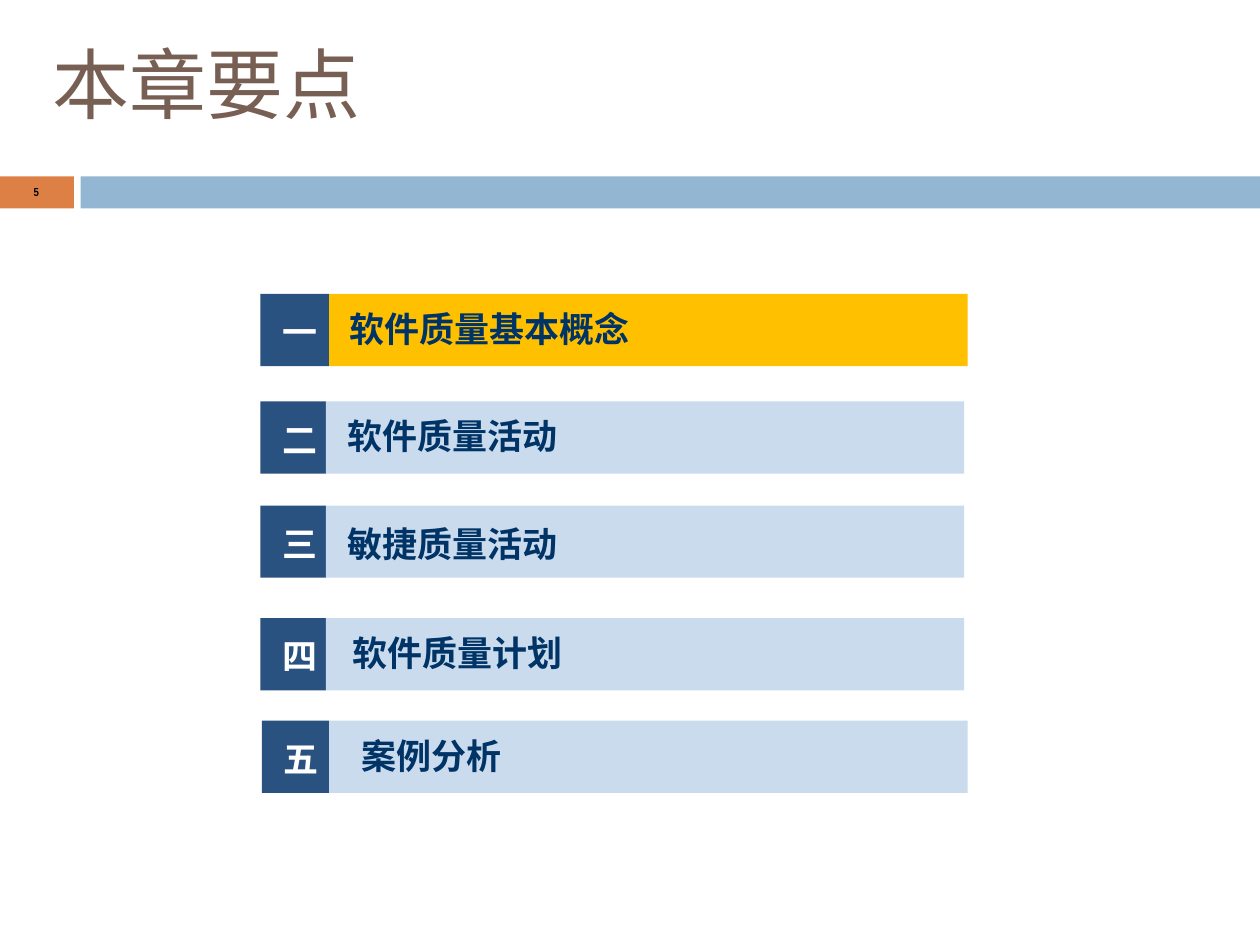
"""Build the chapter outline slide with five numbered topics."""
from pptx import Presentation
from pptx.dml.color import RGBColor
from pptx.enum.shapes import MSO_SHAPE as Shape
from pptx.enum.text import MSO_ANCHOR as Anchor, PP_ALIGN as Align
from pptx.oxml.ns import qn
from pptx.util import Inches, Pt
from lxml.etree import SubElement

CJK = "Noto Sans CJK SC"
NAVY, PALE, GOLD, INK = "2A5280", "C9DBED", "FFC000", "003366"


def write(box, text, size, color, font=CJK, bold=True, left=0, top=0, wrap=False):
    frame = box.text_frame
    layout = dict(margin_left=Inches(left), margin_top=Inches(top), margin_right=0,
                  margin_bottom=0, vertical_anchor=Anchor.TOP, word_wrap=wrap)
    for key, value in layout.items():
        setattr(frame, key, value)
    paragraph = frame.paragraphs[0]
    paragraph.alignment = Align.LEFT
    run = paragraph.add_run()
    run.text = text
    for key, value in dict(size=Pt(size), bold=bold, name=font).items():
        setattr(run.font, key, value)
    run.font.color.rgb = RGBColor.from_string(color)
    SubElement(run.font._element, qn("a:ea")).set("typeface", font)


def add_bar(left, top, width, height, color):
    bar = slide.shapes.add_shape(Shape.RECTANGLE, Inches(left), Inches(top),
                                 Inches(width), Inches(height))
    bar.shadow.inherit = False
    bar.fill.solid()
    bar.fill.fore_color.rgb = RGBColor.from_string(color)
    bar.line.fill.background()
    return bar


deck = Presentation()
deck.slide_width = Inches(7.5)
deck.slide_height = Inches(7.5 * 3 / 4)
slide = deck.slides.add_slide(deck.slide_layouts[5])

add_bar(0, 1.05, 0.44, 0.19, "DD8046")
add_bar(0.48, 1.05, 7.02, 0.19, "93B6D2")

title = slide.shapes.title
place = dict(left=0.3, top=0.21, width=1.86, height=0.58)
for side, length in place.items():
    setattr(title, side, Inches(length))
write(title, "本章要点", 33, "775F54", bold=False, left=0.01, top=0.01)

page_number = slide.shapes.add_textbox(Inches(0.19), Inches(1.08), Inches(0.06), Inches(0.12))
write(page_number, "5", 5, "000000", font="Arial Narrow", left=0.01, top=0.02)

topics = [
    ("一", "软件质量基本概念", 1.55, 1.96, 1.75, 0.12, 0.08, GOLD),
    ("二", "软件质量活动", 1.55, 1.94, 2.39, 0.13, 0.08, PALE),
    ("三", "敏捷质量活动", 1.55, 1.94, 3.01, 0.13, 0.1, PALE),
    ("四", "软件质量计划", 1.55, 1.94, 3.68, 0.16, 0.08, PALE),
    ("五", "案例分析", 1.56, 1.96, 4.29, 0.19, 0.08, PALE),
]
for numeral, topic, start, split, top, indent, inset, color in topics:
    numeral_bar = add_bar(start, top, split - start, 0.43, NAVY)
    write(numeral_bar, numeral, 15, "FFFFFF", left=0.13, top=0.1, wrap=True)
    topic_bar = add_bar(split, top, 3.8, 0.43, color)
    write(topic_bar, topic, 15, INK, left=indent, top=inset, wrap=True)

deck.save("out.pptx")
